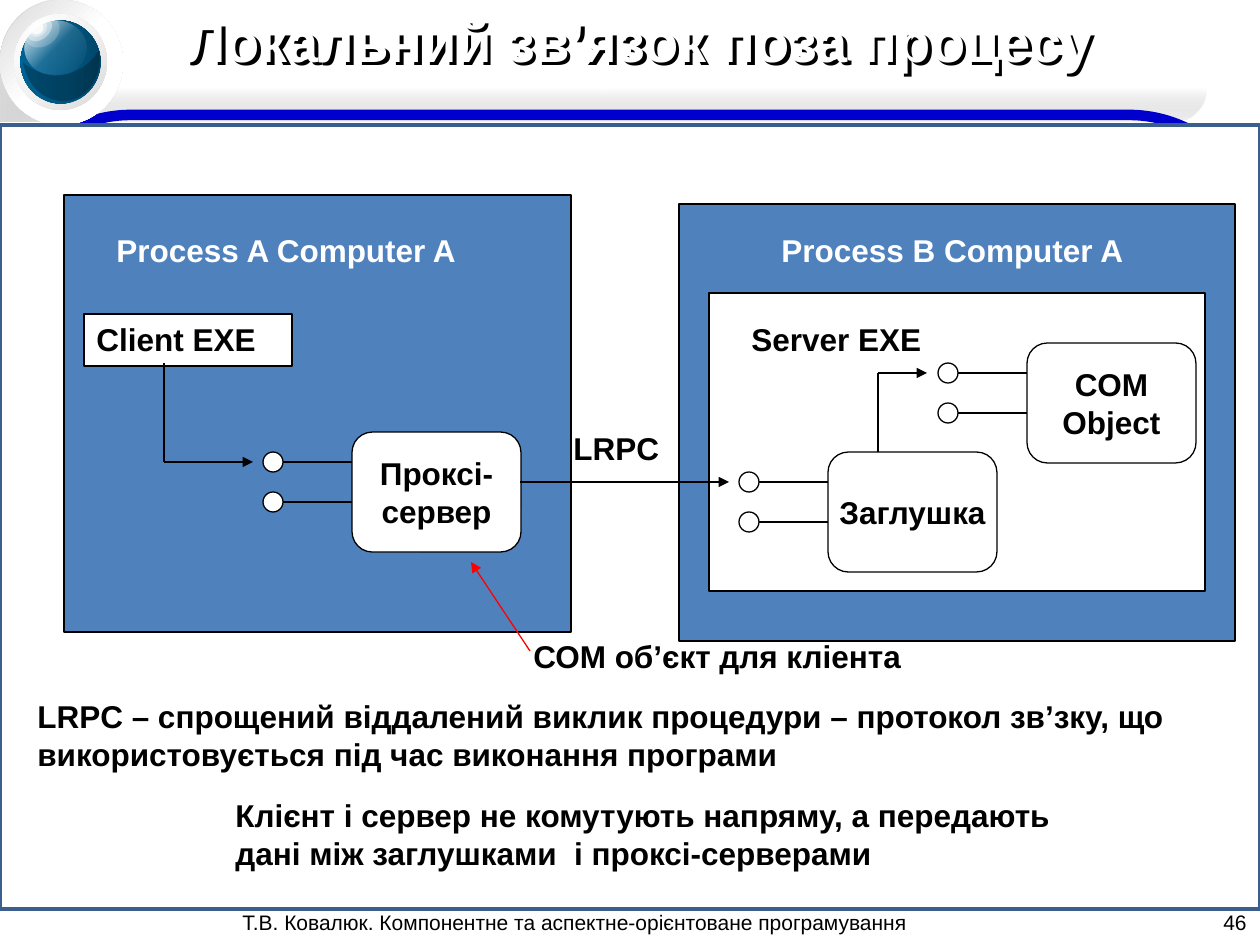
from lxml import etree
from pptx import Presentation
from pptx.dml.color import RGBColor
from pptx.enum import shapes, text
from pptx.oxml import parse_xml
from pptx.oxml.ns import nsdecls, qn
from pptx.util import Pt

SCALE = 914400 / 126
COLORS = {
    "white": "FFFFFF", "black": "000000", "red": "FF0000", "process": "4F81BD",
    "arc": "0000CC", "frame": "3A5F8C", "silver": "D9D9D9", "grey": "B7B7B7",
    "pale": "F2F2F2", "deep": "003C5B", "sea": "005681", "ocean": "006699",
}
FORM = shapes.MSO_SHAPE
ALIGN = text.PP_ALIGN
MIDDLE = text.MSO_ANCHOR.MIDDLE

deck = Presentation()
deck.slide_width = round(1260 * SCALE)
deck.slide_height = round(945 * SCALE)
slide = deck.slides.add_slide(deck.slide_layouts[6])


def draw(form, place, fill=None, line=None, width=0.75, adjust=(), angle=0, alpha=100, turn=0):
    shape = slide.shapes.add_shape(form, *[round(v * SCALE) for v in place])
    shape.shadow.inherit = False
    shape.rotation = turn
    for i, value in enumerate(adjust):
        shape.adjustments[i] = value
    if isinstance(fill, list):
        stops = "".join(
            f'<a:gs pos="{i * 50000}"><a:srgbClr val="{COLORS[name]}">'
            f'<a:alpha val="{opacity * 1000}"/></a:srgbClr></a:gs>'
            for i, (name, opacity) in enumerate(fill))
        gradient = parse_xml(
            f'<a:gradFill {nsdecls("a")} rotWithShape="1"><a:gsLst>{stops}</a:gsLst>'
            f'<a:lin ang="{angle * 60000}" scaled="0"/></a:gradFill>')
        shape._element.spPr.find(qn("a:prstGeom")).addnext(gradient)
    elif fill:
        shape.fill.solid()
        shape.fill.fore_color.rgb = RGBColor.from_string(COLORS[fill])
        if alpha < 100:
            tint = shape._element.spPr.find(qn("a:solidFill"))[0]
            etree.SubElement(tint, qn("a:alpha")).set("val", str(alpha * 1000))
    else:
        shape.fill.background()
    if line:
        shape.line.color.rgb = RGBColor.from_string(COLORS[line])
        shape.line.width = Pt(width)
    else:
        shape.line.fill.background()
    return shape


def write(words, place=None, shape=None, size=18, color="black", bold=True, align=ALIGN.LEFT,
          anchor=text.MSO_ANCHOR.TOP, wrap=True, shadow=False):
    if shape is None:
        shape = slide.shapes.add_textbox(*[round(v * SCALE) for v in place])
    if shadow:
        shape._element.spPr.append(parse_xml(
            f'<a:effectLst {nsdecls("a")}><a:outerShdw dist="38100" dir="2700000" algn="tl">'
            f'<a:srgbClr val="{COLORS["black"]}"/></a:outerShdw></a:effectLst>'))
    frame = shape.text_frame
    frame.word_wrap = wrap
    frame.vertical_anchor = anchor
    frame.text = words
    for paragraph in frame.paragraphs:
        paragraph.alignment = align
        for run in paragraph.runs:
            run.font.name = "Arial"
            run.font.size = Pt(size)
            run.font.bold = bold
            run.font.color.rgb = RGBColor.from_string(COLORS[color])


draw(FORM.ROUND_2_DIAG_RECTANGLE, (0, 55, 1207, 66),
     [("white", 0), ("grey", 0), ("pale", 100)], adjust=(0.5, 0), angle=90)
draw(FORM.ROUND_2_DIAG_RECTANGLE, (0, 0, 160, 121),
     [("silver", 100), ("grey", 0), ("silver", 0)], adjust=(0.5, 0))
draw(FORM.ROUNDED_RECTANGLE, (0, 115, 1260, 784), line="arc", width=6)

draw(FORM.CHORD, (8, 4, 115, 116), [("deep", 100), ("sea", 100), ("ocean", 100)],
     adjust=(71.32, 44.49), angle=180)
draw(FORM.DONUT, (0, 0, 123, 125), [("silver", 100), ("white", 100), ("white", 100)],
     adjust=(0.14,), angle=45)
draw(FORM.OVAL, (25, 21, 62, 54), [("white", 100), ("white", 12), ("white", 0)], angle=45)
draw(FORM.DONUT, (14, 14, 93, 96), [("silver", 100), ("pale", 100), ("white", 100)],
     adjust=(0.06,), angle=225)
for place, turn, alpha in [((24, 18, 37, 28), 326, 20), ((26, 20, 28, 19), 317, 39),
                           ((31, 23, 13, 11), 317, 81), ((29, 21, 19, 15), 317, 39)]:
    draw(FORM.OVAL, place, "white", alpha=alpha, turn=turn)
draw(FORM.MOON, (42, 40, 45, 77), "black", adjust=(0.59,), alpha=25, turn=261)

draw(FORM.RECTANGLE, (0, 125, 1260, 784), "white", "frame", 2)
draw(FORM.RECTANGLE, (64, 195, 507, 437), "process", "black")
draw(FORM.RECTANGLE, (679, 204, 556, 437), "process", "black")
draw(FORM.RECTANGLE, (709, 293, 496, 298), "white", "black")
client = draw(FORM.RECTANGLE, (84, 314, 208, 52), "white", "black")
write("Client EXE", shape=client)

links = [
    (164, 363, 164, 462, "black", False),
    (164, 462, 253, 462, "black", True),
    (878, 452, 878, 373, "black", False),
    (878, 373, 927, 373, "black", True),
    (520, 482, 729, 482, "black", True),
    (530, 651, 471, 562, "red", True),
]
PIN = 20
for label, left, top in [("Проксі-\nсервер", 352, 432), ("Заглушка", 828, 452),
                         ("COM\nObject", 1027, 343)]:
    component = draw(FORM.ROUNDED_RECTANGLE, (left, top, 169, 120), "white", "black",
                     adjust=(0.17,))
    write(label, shape=component, align=ALIGN.CENTER, anchor=MIDDLE, wrap=False)
    for level in (top + 30, top + 70):
        draw(FORM.OVAL, (left - 89, level - PIN // 2, PIN, PIN), "white", "black")
        links.append((left - 89 + PIN, level, left, level, "black", False))

for x1, y1, x2, y2, color, arrow in links:
    link = slide.shapes.add_connector(shapes.MSO_CONNECTOR.STRAIGHT,
                                      *[round(v * SCALE) for v in (x1, y1, x2, y2)])
    link.line.color.rgb = RGBColor.from_string(COLORS[color])
    link.line.width = Pt(0.75)
    if arrow:
        etree.SubElement(link.line._get_or_add_ln(), qn("a:tailEnd")).set("type", "triangle")
    etree.SubElement(link._element.spPr, qn("a:effectLst"))

write("Локальний зв’язок поза процесу", (174, 0, 968, 79), size=32, color="white", shadow=True)
write("Process A Computer A", (104, 225, 387, 50), color="white")
write("Process B Computer A", (769, 225, 387, 50), color="white")
write("Server EXE", (739, 314, 195, 50), wrap=False)
write("LRPC", (561, 423, 111, 50), wrap=False)
write("СОМ об’єкт для кліента", (521, 631, 393, 50), wrap=False)
write("LRPC – спрощений віддалений виклик процедури – протокол зв’зку, що "
      "використовується під час виконання програми", (25, 691, 1211, 88))
write("Клієнт і сервер не комутують напряму, а передають "
      "дані між заглушками  і проксі-серверами", (223, 790, 883, 88))
write("Т.В. Ковалюк. Компонентне та аспектне-орієнтоване програмування",
      (230, 903, 708, 38), size=12, bold=False, wrap=False)
write("46", (1164, 904, 95, 37), size=12, bold=False, align=ALIGN.RIGHT, anchor=MIDDLE)

deck.save("out.pptx")
